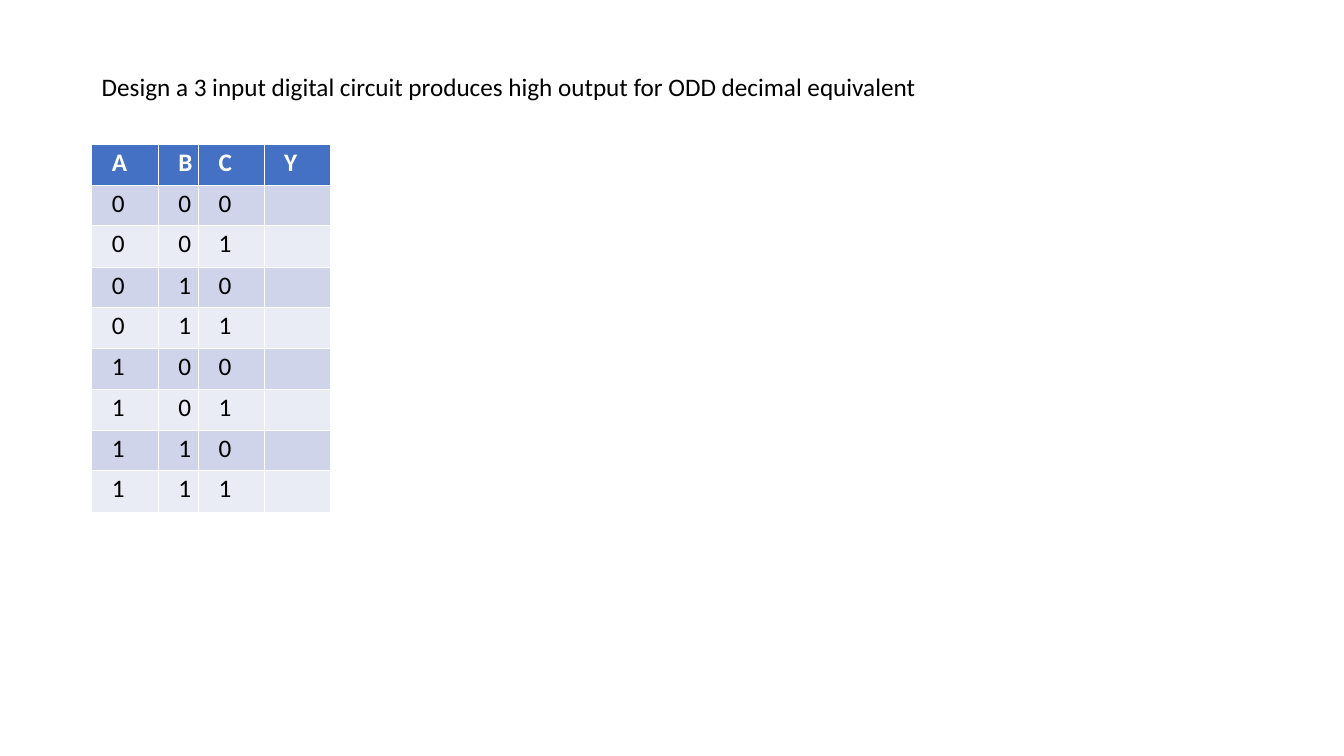
from itertools import product

from lxml import etree
from pptx import Presentation, util as u
from pptx.dml.color import RGBColor
from pptx.enum import text
from pptx.oxml import ns

PX = u.Inches(1) // 100
COLORS = {
    "ink": "000000",
    "white": "FFFFFF",
    "header": "4471C4",
    "odd_row": "CFD4EA",
    "even_row": "E9EBF5",
}


class CircuitSlide:
    def __init__(self, prs):
        self.font_name = "Calibri"
        self.font_size = u.Pt(18)
        self.slide = prs.slides.add_slide(prs.slide_layouts[5])

    def style(self, paragraph, color, bold=False):
        paragraph.alignment = text.PP_ALIGN.LEFT
        font = paragraph.font
        font.name, font.size, font.bold = self.font_name, self.font_size, bold
        font.color.rgb = RGBColor.from_string(COLORS[color])

    def title(self, wording, left, top, width, height):
        heading = self.slide.shapes.title
        heading.left, heading.top = left * PX, top * PX
        heading.width, heading.height = width * PX, height * PX
        frame = heading.text_frame
        frame.margin_left = frame.margin_right = frame.margin_bottom = 0
        frame.margin_top = PX
        frame.vertical_anchor = text.MSO_ANCHOR.TOP
        frame.auto_size = text.MSO_AUTO_SIZE.NONE
        frame.word_wrap = True
        frame.text = wording
        self.style(frame.paragraphs[0], "ink")

    def border(self, cell, side, points):
        line = etree.SubElement(cell._tc.get_or_add_tcPr(), ns.qn(f"a:ln{side}"),
                                w=str(u.Pt(points)))
        fill = etree.SubElement(line, ns.qn("a:solidFill"))
        etree.SubElement(fill, ns.qn("a:srgbClr"), val=COLORS["white"])

    def cell(self, cell, wording, row):
        # Borders go before the fill; the rule under the header is thicker
        for side in "LRTB":
            under_header = (row, side) in ((0, "B"), (1, "T"))
            self.border(cell, side, 1.5 if under_header else 0.45)
        cell.fill.solid()
        band = "header" if row == 0 else "odd_row" if row % 2 else "even_row"
        cell.fill.fore_color.rgb = RGBColor.from_string(COLORS[band])
        cell.margin_left, cell.margin_right = 20 * PX, 0
        cell.margin_top, cell.margin_bottom = 3 * PX, 0
        cell.text = wording
        self.style(cell.text_frame.paragraphs[0], "ink" if row else "white", row == 0)

    def table(self, rows, left, top, widths, heights):
        table = self.slide.shapes.add_table(
            len(rows), len(widths), left * PX, top * PX,
            sum(widths) * PX, sum(heights) * PX).table
        for column, width in zip(table.columns, widths):
            column.width = width * PX
        for r, (values, height) in enumerate(zip(rows, heights)):
            table.rows[r].height = height * PX
            for c, value in enumerate(values):
                self.cell(table.cell(r, c), value, r)


def main():
    prs = Presentation()
    prs.slide_width, prs.slide_height = 1334 * PX, 750 * PX
    circuit = CircuitSlide(prs)

    # Task
    circuit.title("Design a 3 input digital circuit produces high output "
                  "for ODD decimal equivalent", 101, 70, 813, 31)

    # Truth table: every input combination, output left open
    truth_rows = ["ABCY"] + [(*inputs, "") for inputs in product("01", repeat=3)]
    row_heights = [40 if r % 2 else 41 for r in range(len(truth_rows))]
    circuit.table(truth_rows, 91, 143, [66, 40, 65, 66], row_heights)

    prs.save("out.pptx")


if __name__ == "__main__":
    main()
